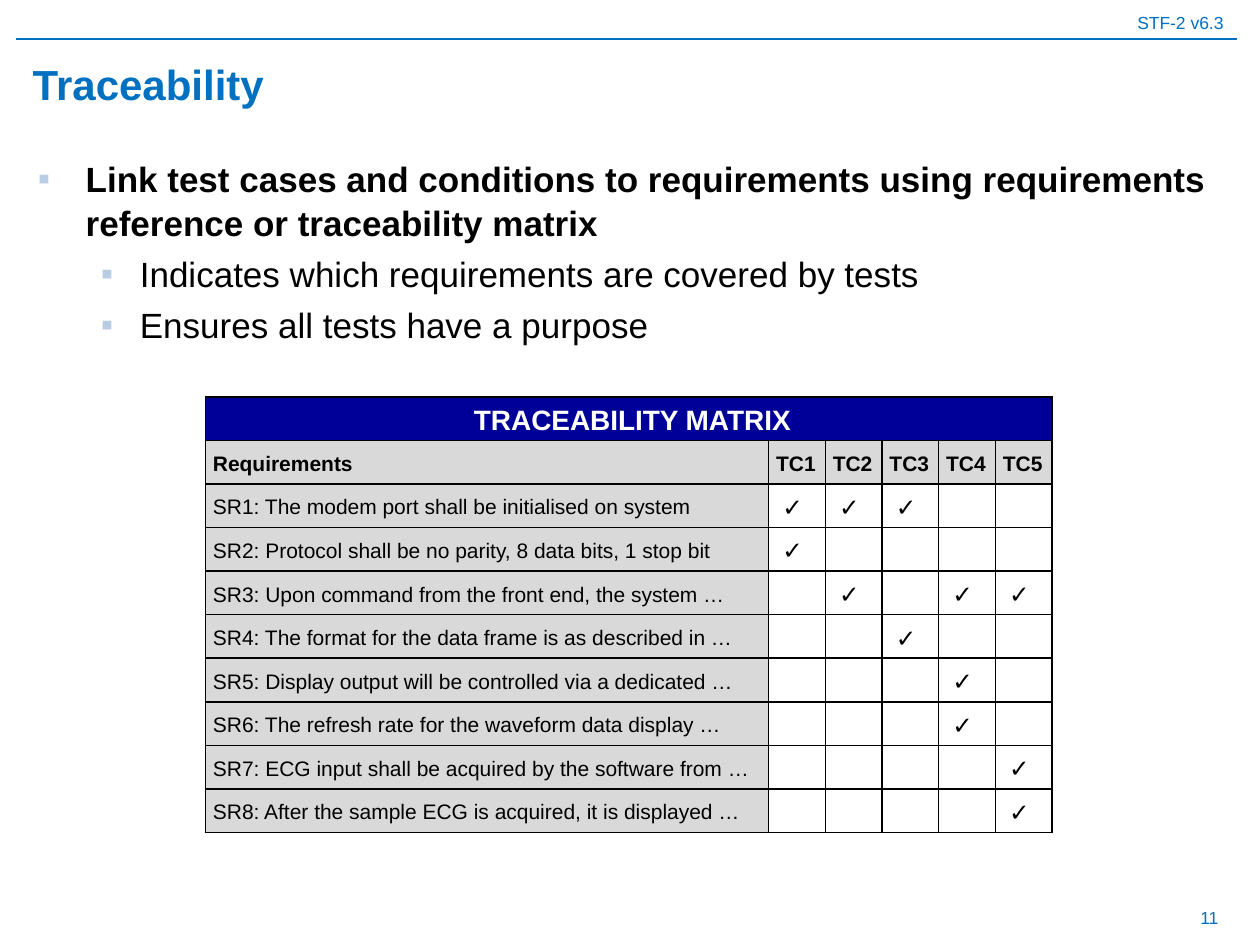
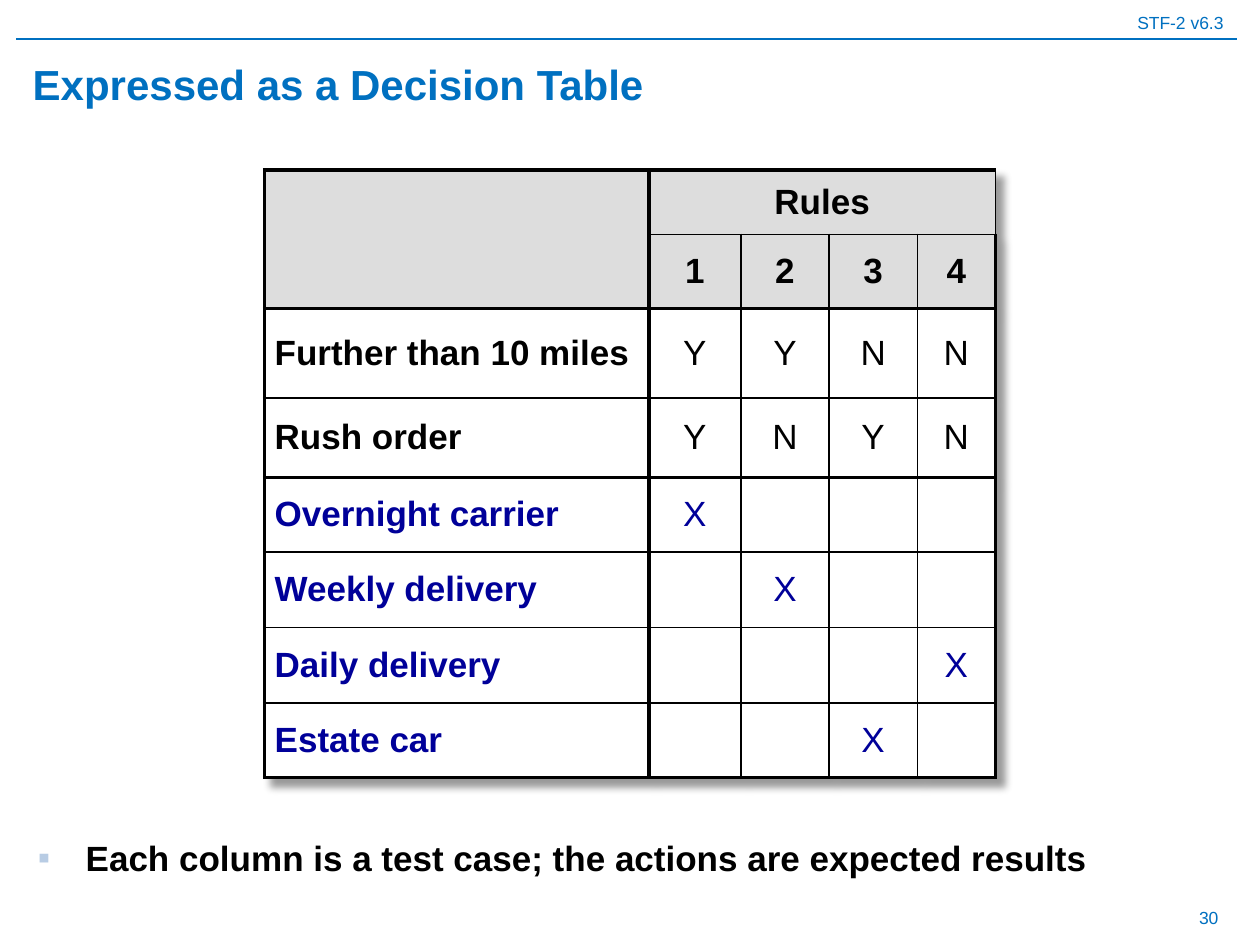
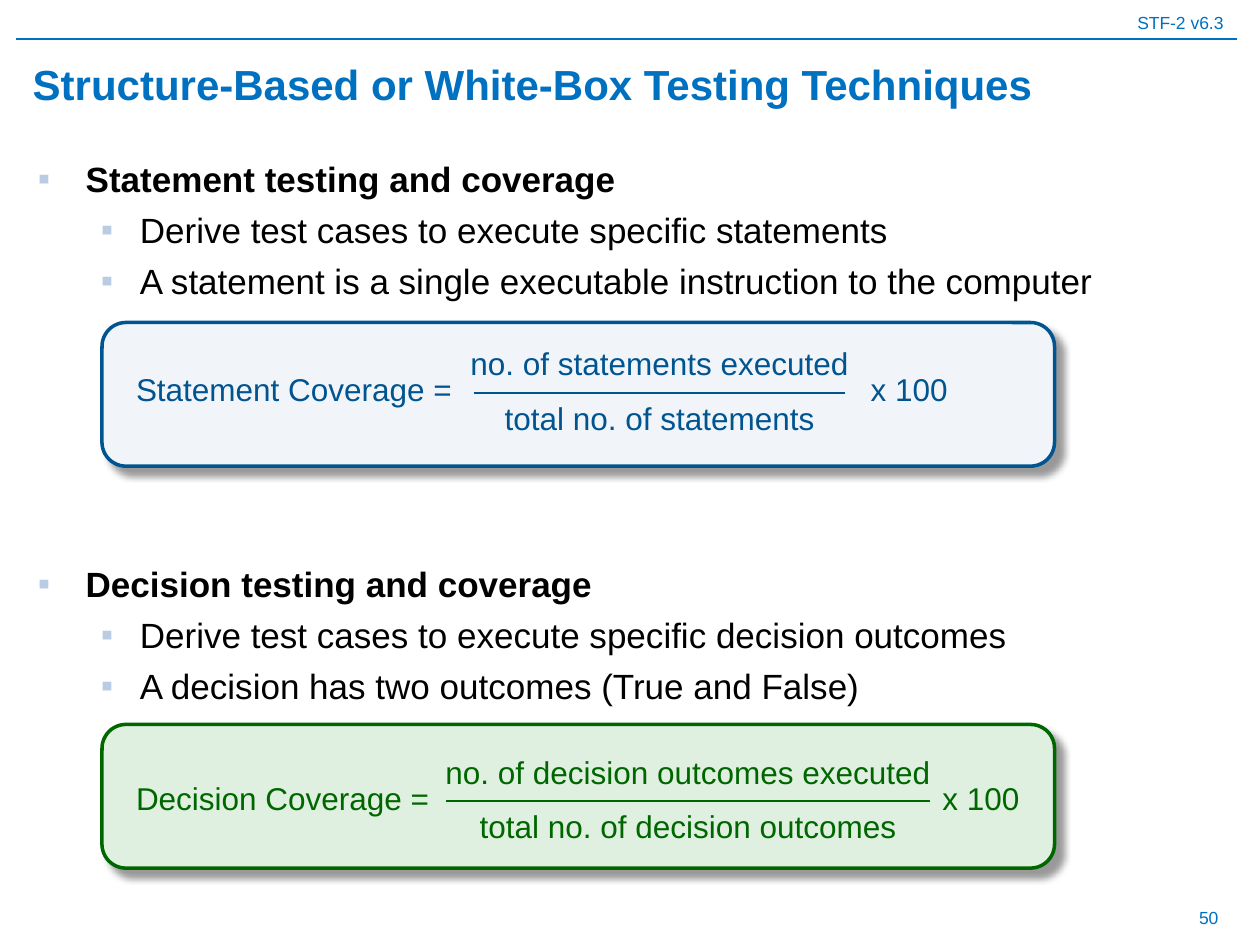
from lxml.etree import SubElement
from pptx import Presentation
from pptx.dml.color import RGBColor
from pptx.enum.shapes import MSO_CONNECTOR as CONNECTOR, MSO_SHAPE as SHAPE
from pptx.enum.text import MSO_ANCHOR as ANCHOR, MSO_AUTO_SIZE as AUTO_SIZE, PP_ALIGN as ALIGN
from pptx.oxml import parse_xml
from pptx.oxml.ns import nsdecls, qn
from pptx.util import Inches, Pt

FONT = "Arial"
BLACK = RGBColor(0x00, 0x00, 0x00)
WHITE = RGBColor(0xFF, 0xFF, 0xFF)
BRAND = RGBColor(0x00, 0x70, 0xC0)
NAVY = RGBColor(0x00, 0x00, 0x99)
BULLET = RGBColor(0xB8, 0xCC, 0xE4)
GREY = RGBColor(0xD9, 0xD9, 0xD9)
LIGHT_GREY = RGBColor(0xDD, 0xDD, 0xDD)
BLUE = RGBColor(0x00, 0x54, 0x90)
PALE_BLUE = RGBColor(0xF1, 0xF5, 0xFA)
GREEN = RGBColor(0x00, 0x66, 0x00)
PALE_GREEN = RGBColor(0xE0, 0xF0, 0xE0)

WIDTH, HEIGHT = 10, 7.5
TITLE_BOX = (0.16, 0.39, 9.61, 0.55)
BODY_BOX = (0.2, 1.18, 9.65, 5.91)
CONCLUSION_BOX = (0.2, 6.57, 9.65, 0.52)
HEADER = "STF-2 v6.3"
THIN, THICK = 1, 2.25
NO_STYLE = "{2D5ABB26-0587-4C30-8999-92F81FD0307C}"

# Body lists: (level, text, points of space before)
TRACEABILITY_POINTS = [
    (0, "Link test cases and conditions to requirements using requirements "
        "reference or traceability matrix", 0),
    (1, "Indicates which requirements are covered by tests", 4),
    (1, "Ensures all tests have a purpose", 4),
]
DECISION_POINTS = [(0, "Each column is a test case; the actions are expected results", 0)]
COVERAGE_POINTS = [
    (0, "Statement testing and coverage", 0),
    (1, "Derive test cases to execute specific statements", 4),
    (1, "A statement is a single executable instruction to the computer", 4),
    (0, "Decision testing and coverage", 148),
    (1, "Derive test cases to execute specific decision outcomes", 4),
    (1, "A decision has two outcomes (True and False)", 4),
]

# Each requirement with the numbers of the test cases that cover it
TEST_CASES = ["TC1", "TC2", "TC3", "TC4", "TC5"]
REQUIREMENTS = [
    ("SR1: The modem port shall be initialised on system", {1, 2, 3}),
    ("SR2: Protocol shall be no parity, 8 data bits, 1 stop bit", {1}),
    ("SR3: Upon command from the front end, the system …", {2, 4, 5}),
    ("SR4: The format for the data frame is as described in …", {3}),
    ("SR5: Display output will be controlled via a dedicated …", {4}),
    ("SR6: The refresh rate for the waveform data display …", {4}),
    ("SR7: ECG input shall be acquired by the software from …", {5}),
    ("SR8: After the sample ECG is acquired, it is displayed …", {5}),
]

CONDITIONS = [("Further than 10 miles", "YYNN"), ("Rush order", "YNYN")]
ACTIONS = [
    ("Overnight carrier", "X   "),
    ("Weekly delivery", " X  "),
    ("Daily delivery", "   X"),
    ("Estate car", "  X "),
]
RULE_COLUMNS = [3.05, 0.73, 0.7, 0.7, 0.62]
RULE_ROWS = [0.51, 0.59, 0.71, 0.63, 0.59, 0.6, 0.6, 0.59]

FORMULAS = [
    dict(label="Statement Coverage =", over="no. of statements executed",
         under="total no. of statements", top=2.56, bar=(3.76, 6.71), bar_y=3.12,
         times_left=6.91, color=BLUE, fill=PALE_BLUE),
    dict(label="Decision Coverage =", over="no. of decision outcomes executed",
         under="total no. of decision outcomes", top=5.75, bar=(3.54, 7.38), bar_y=6.36,
         times_left=7.48, color=GREEN, fill=PALE_GREEN),
]


def inches(*values):
    return [Inches(value) for value in values]


def place(shape, box):
    shape.left, shape.top, shape.width, shape.height = inches(*box)


def add_run(paragraph, text, size, color, bold=False):
    run = paragraph.add_run()
    run.text = text
    run.font.name, run.font.size, run.font.bold = FONT, Pt(size), bold
    run.font.color.rgb = color


def add_text(shapes, box, lines, size, color, align=ALIGN.LEFT, gap=0):
    """Add a text box without margins, centred on its height."""
    frame = shapes.add_textbox(*inches(*box)).text_frame
    frame.word_wrap = True
    frame.vertical_anchor = ANCHOR.MIDDLE
    frame.margin_left = frame.margin_right = frame.margin_top = frame.margin_bottom = 0
    for index, line in enumerate(lines):
        paragraph = frame.add_paragraph() if index else frame.paragraphs[0]
        paragraph.alignment = align
        paragraph.space_before = Pt(gap if index else 0)
        add_run(paragraph, line, size, color)


def add_rule(shapes, left, right, y, color, width):
    line = shapes.add_connector(CONNECTOR.STRAIGHT, *inches(left, y, right, y))
    line.line.color.rgb, line.line.width = color, Pt(width)
    SubElement(line._element.spPr, qn("a:effectLst"))
    return line


def add_shadow(effects):
    """Fill an effect list with a soft shadow to the lower right."""
    shadow = SubElement(effects, qn("a:outerShdw"), blurRad=str(Pt(4)), dist=str(Pt(6)),
                        dir="2700000", algn="tl", rotWithShape="0")
    color = SubElement(shadow, qn("a:srgbClr"), val=str(BLACK))
    SubElement(color, qn("a:alpha"), val="40000")


def fill_body(body, points):
    frame = body.text_frame
    frame.auto_size = AUTO_SIZE.NONE
    for index, (level, text, gap) in enumerate(points):
        paragraph = frame.add_paragraph() if index else frame.paragraphs[0]
        paragraph.level = level
        paragraph.line_spacing = 1.05
        paragraph.space_before = Pt(gap)
        properties = paragraph._p.get_or_add_pPr()
        left, hanging = [(0.38, 0.38), (0.81, 0.31)][level]
        properties.set("marL", str(Inches(left)))
        properties.set("indent", str(-Inches(hanging)))
        color = SubElement(properties, qn("a:buClr"))
        SubElement(color, qn("a:srgbClr"), val=str(BULLET))
        SubElement(properties, qn("a:buFont"), typeface=FONT)
        SubElement(properties, qn("a:buChar"), char="▪")
        add_run(paragraph, text, 20, BLACK, bold=level == 0)


def set_up_layout(presentation):
    """Give the title-and-content layout its places, header and rule."""
    layout = presentation.slide_layouts[1]
    for placeholder, box in zip(layout.placeholders, (TITLE_BOX, BODY_BOX)):
        place(placeholder, box)
    return layout


def add_slide(presentation, layout, title, points, number):
    slide = presentation.slides.add_slide(layout)
    frame = slide.shapes.title.text_frame
    frame.auto_size, frame.vertical_anchor = AUTO_SIZE.NONE, ANCHOR.MIDDLE
    frame.paragraphs[0].alignment = ALIGN.LEFT
    add_run(frame.paragraphs[0], title, 24, BRAND, bold=True)
    fill_body(slide.placeholders[1], points)
    add_text(slide.shapes, (0, 0.04, 9.71, 0.27), [HEADER], 10, BRAND, ALIGN.RIGHT)
    add_rule(slide.shapes, 0.13, 9.82, 0.31, BRAND, 0.75)
    add_text(slide.shapes, (7.43, 7.09, 2.24, 0.39), [str(number)], 10, BRAND, ALIGN.RIGHT)
    return slide


def add_plain_table(slide, left, top, columns, rows):
    """Add an unstyled table with the given column widths and row heights."""
    frame = slide.shapes.add_table(len(rows), len(columns),
                                   *inches(left, top, sum(columns), sum(rows)))
    table = frame.table
    table.first_row = table.horz_banding = False
    table._tbl.tblPr.find(qn("a:tableStyleId")).text = NO_STYLE
    for column, width in zip(table.columns, columns):
        column.width = Inches(width)
    for row, height in zip(table.rows, rows):
        row.height = Inches(height)
    return table


def write_cell(cell, text, size, color, bold=False, align=ALIGN.LEFT, indent=0, spacing=1):
    cell.vertical_anchor = ANCHOR.MIDDLE
    cell.margin_left = Inches(indent)
    cell.margin_right = cell.margin_top = cell.margin_bottom = 0
    paragraph = cell.text_frame.paragraphs[0]
    paragraph.alignment, paragraph.line_spacing = align, spacing
    if text:
        add_run(paragraph, text, size, color, bold)


def paint_cell(cell, fill):
    cell.fill.solid()
    cell.fill.fore_color.rgb = fill


def draw_borders(table, thick_columns=(), thick_rows=()):
    """Rule every cell; the grid lines with the given numbers are thick."""
    for y, row in enumerate(table.rows):
        for x, cell in enumerate(row.cells):
            sides = [("L", x in thick_columns), ("R", x + 1 in thick_columns),
                     ("T", y in thick_rows), ("B", y + 1 in thick_rows)]
            for index, (side, thick) in enumerate(sides):
                width = Pt(THICK if thick else THIN)
                border = parse_xml(
                    f'<a:ln{side} {nsdecls("a")} w="{width}"><a:solidFill>'
                    f'<a:srgbClr val="{BLACK}"/></a:solidFill></a:ln{side}>')
                cell._tc.get_or_add_tcPr().insert(index, border)


def add_traceability_matrix(slide):
    row_count = len(REQUIREMENTS) + 2
    columns = [4.47] + [0.45] * len(TEST_CASES)
    table = add_plain_table(slide, 1.63, 3.15, columns, [3.46 / row_count] * row_count)
    heading = table.cell(0, 0)
    heading.merge(table.cell(0, len(TEST_CASES)))
    write_cell(heading, "TRACEABILITY MATRIX", 16, WHITE, True, ALIGN.CENTER, 0.06, 1.15)
    paint_cell(heading, NAVY)
    for x, text in enumerate(["Requirements"] + TEST_CASES):
        write_cell(table.cell(1, x), text, 12, BLACK, True, indent=0.06, spacing=1.15)
        paint_cell(table.cell(1, x), GREY)
    for y, (requirement, covered_by) in enumerate(REQUIREMENTS, 2):
        write_cell(table.cell(y, 0), requirement, 12, BLACK, indent=0.06, spacing=1.15)
        paint_cell(table.cell(y, 0), GREY)
        for x in range(1, len(columns)):
            tick = "✓" if x in covered_by else ""
            write_cell(table.cell(y, x), tick, 14, BLACK, True, indent=0.11, spacing=1.15)
    draw_borders(table)


def add_decision_table(slide):
    table = add_plain_table(slide, 2.1, 1.35, RULE_COLUMNS, RULE_ROWS)
    effects = parse_xml(f'<a:effectLst {nsdecls("a")}/>')
    add_shadow(effects)
    table._tbl.tblPr.insert(0, effects)
    table.cell(0, 0).merge(table.cell(1, 0))
    table.cell(0, 1).merge(table.cell(0, 4))
    write_cell(table.cell(0, 1), "Rules", 20, BLACK, True, ALIGN.CENTER)
    for x in range(len(RULE_COLUMNS)):
        if x:
            write_cell(table.cell(1, x), str(x), 20, BLACK, True, ALIGN.CENTER)
        for y in range(2):
            paint_cell(table.cell(y, x), LIGHT_GREY)
    for y, (name, marks) in enumerate(CONDITIONS + ACTIONS, 2):
        color = BLACK if y < 2 + len(CONDITIONS) else NAVY
        write_cell(table.cell(y, 0), name, 20, color, True, indent=0.08)
        for x, mark in enumerate(marks, 1):
            write_cell(table.cell(y, x), mark.strip(), 20, color, align=ALIGN.CENTER)
        for cell in table.rows[y].cells:
            paint_cell(cell, WHITE)
    draw_borders(table, thick_columns={0, 1, 5}, thick_rows={0, 2, 4, 8})


def add_formula(slide, formula):
    shapes = slide.shapes.add_group_shape().shapes
    color, bar_y = formula["color"], formula["bar_y"]
    left, right = formula["bar"]
    panel = shapes.add_shape(SHAPE.ROUNDED_RECTANGLE, *inches(0.81, formula["top"], 7.56, 1.14))
    panel.fill.solid()
    panel.fill.fore_color.rgb = formula["fill"]
    panel.line.color.rgb, panel.line.width = color, Pt(2)
    panel.shadow.inherit = False
    add_shadow(panel._element.spPr.find(qn("a:effectLst")))
    add_text(shapes, (left - 0.2, bar_y - 0.45, right - left + 0.4, 0.86),
             [formula["over"], formula["under"]], 18, color, ALIGN.CENTER, gap=9.5)
    for x, width, text in [(1.08, 2.6, formula["label"]), (formula["times_left"], 0.8, "x 100")]:
        add_text(shapes, (x, bar_y - 0.23, width, 0.4), [text], 18, color)
    add_rule(shapes, left, right, bar_y, color, 1.25)


def main():
    presentation = Presentation()
    presentation.slide_width, presentation.slide_height = inches(WIDTH, HEIGHT)
    layout = set_up_layout(presentation)

    slide = add_slide(presentation, layout, "Traceability", TRACEABILITY_POINTS, 11)
    add_traceability_matrix(slide)

    slide = add_slide(presentation, layout, "Expressed as a Decision Table", DECISION_POINTS, 30)
    place(slide.placeholders[1], CONCLUSION_BOX)
    add_decision_table(slide)

    slide = add_slide(presentation, layout, "Structure-Based or White-Box Testing Techniques",
                      COVERAGE_POINTS, 50)
    for formula in FORMULAS:
        add_formula(slide, formula)

    presentation.save("out.pptx")


if __name__ == "__main__":
    main()
